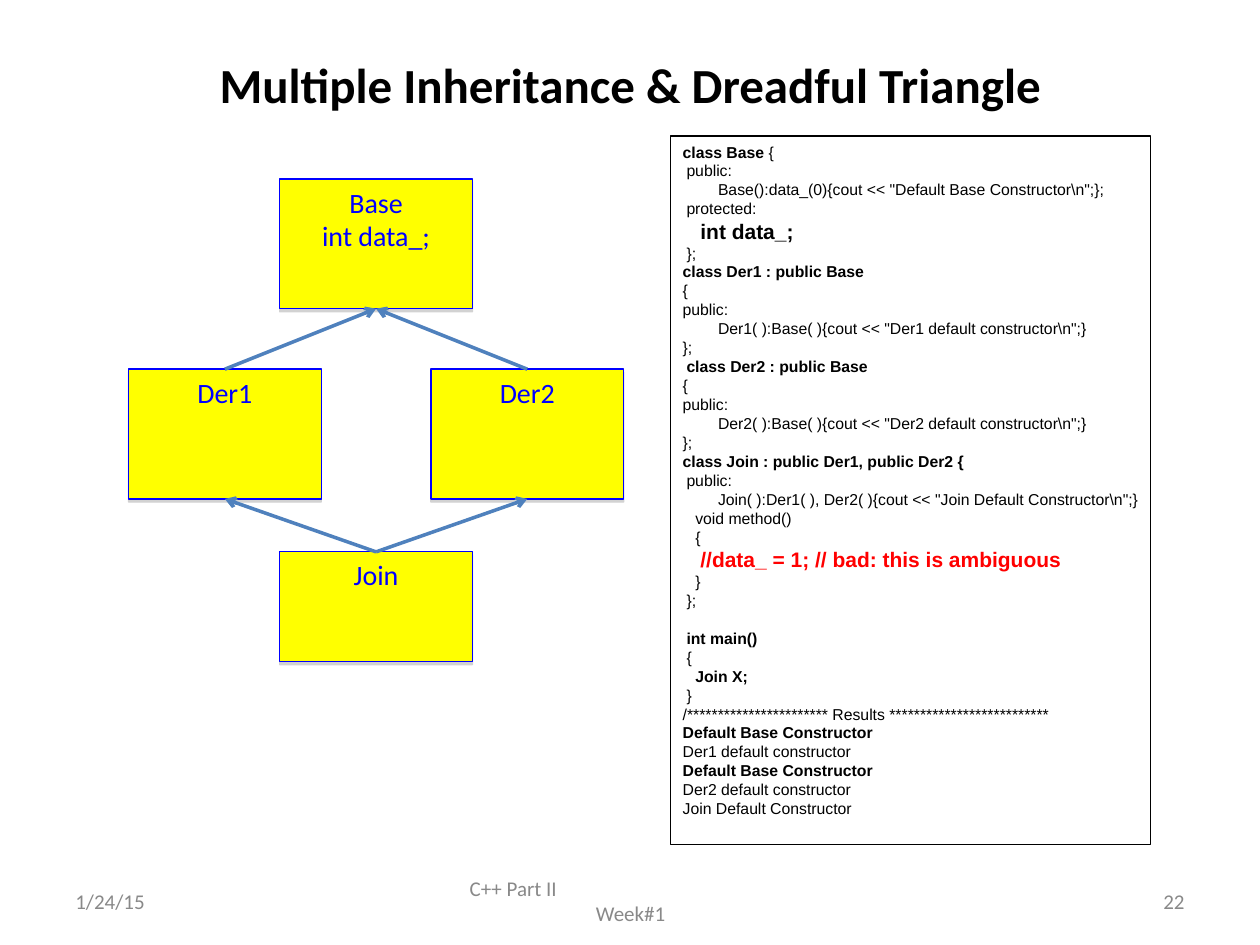
from lxml import etree
from pptx import Presentation
from pptx import util as u
from pptx.dml.color import RGBColor
from pptx.enum import shapes, text
from pptx.oxml.ns import qn

BLACK, GREY, BLUE, YELLOW = "000000", "898989", "0000FF", "FFFF00"
RED, STEEL, SHADOW = "FF0000", "4F81BD", "808080"
LEFT, CENTER, RIGHT = text.PP_ALIGN.LEFT, text.PP_ALIGN.CENTER, text.PP_ALIGN.RIGHT

PLAIN = dict(size=u.Pt(9), name="Arial", bold=False)
BOLD = {**PLAIN, "bold": True}
LARGE = {**BOLD, "size": u.Pt(12)}
FOOTER = dict(size=u.Pt(12), name="Calibri")
CLASS_NAME = dict(size=u.Pt(16), name="Calibri")

# Code lines: indent in inches, text, format
CODE = [
    (0, "class Base {", BOLD),
    (0.03, "public:", PLAIN),
    (0.28, 'Base():data_(0){cout << "Default Base Constructor\\n";};', PLAIN),
    (0.03, "protected:", PLAIN),
    (0.14, "int data_;", LARGE),
    (0.03, "};", PLAIN),
    (0, "class Der1 : public Base", BOLD),
    (0, "{", PLAIN),
    (0, "public:", PLAIN),
    (0.28, 'Der1( ):Base( ){cout << "Der1 default constructor\\n";}', PLAIN),
    (0, "};", PLAIN),
    (0.03, "class Der2 : public Base", BOLD),
    (0, "{", PLAIN),
    (0, "public:", PLAIN),
    (0.28, 'Der2( ):Base( ){cout << "Der2 default constructor\\n";}', PLAIN),
    (0, "};", PLAIN),
    (0, "class Join : public Der1, public Der2 {", BOLD),
    (0.03, "public:", PLAIN),
    (0.28, 'Join( ):Der1( ), Der2( ){cout << "Join Default Constructor\\n";}', PLAIN),
    (0.1, "void method()", PLAIN),
    (0.1, "{", PLAIN),
    (0.14, "//data_ = 1; // bad: this is ambiguous", LARGE),
    (0.1, "}", PLAIN),
    (0.03, "};", PLAIN),
    (0.03, "int main()", BOLD),
    (0.03, "{", PLAIN),
    (0.1, "Join X;", BOLD),
    (0.03, "}", PLAIN),
    (0, "/*********************** Results **************************", PLAIN),
    (0, "Default Base Constructor", BOLD),
    (0, "Der1 default constructor", PLAIN),
    (0, "Default Base Constructor", BOLD),
    (0, "Der2 default constructor", PLAIN),
    (0, "Join Default Constructor", PLAIN),
]


def color(value):
    return RGBColor.from_string(value)


def inches(box):
    return [u.Inches(value) for value in box]


def add_run(paragraph, words, style, ink):
    run = paragraph.add_run()
    run.text = words
    for name, value in style.items():
        setattr(run.font, name, value)
    run.font.color.rgb = color(ink)


def next_paragraph(frame, index, align=LEFT, indent=0):
    paragraph = frame.add_paragraph() if index else frame.paragraphs[0]
    paragraph.alignment = align
    if indent:
        properties = paragraph._p.get_or_add_pPr()
        properties.set("marL", str(u.Inches(indent)))
        properties.set("indent", "0")
    return paragraph


def add_title(slide, box, words):
    title = slide.shapes.title
    title.left, title.top, title.width, title.height = inches(box)
    title.text_frame.vertical_anchor = text.MSO_ANCHOR.MIDDLE
    paragraph = next_paragraph(title.text_frame, 0, CENTER)
    add_run(paragraph, words, dict(size=u.Pt(28), name="Calibri", bold=True), BLACK)


def add_footer(slide, box, lines):
    frame = slide.shapes.add_textbox(*inches(box)).text_frame
    frame.word_wrap = True
    frame.vertical_anchor = text.MSO_ANCHOR.MIDDLE
    for index, (words, align, indent) in enumerate(lines):
        add_run(next_paragraph(frame, index, align, indent), words, FOOTER, GREY)


def add_drop_shadow(shape):
    effects = shape._element.spPr.find(qn("a:effectLst"))
    shadow = etree.SubElement(effects, qn("a:outerShdw"), blurRad="0",
                              dist=str(u.Pt(1.8)), dir="5400000", rotWithShape="0")
    ink = etree.SubElement(shadow, qn("a:srgbClr"), val=SHADOW)
    etree.SubElement(ink, qn("a:alpha"), val="35000")


def add_box(slide, kind, box, line):
    shape = slide.shapes.add_shape(kind, *inches(box))
    shape.shadow.inherit = False
    shape.line.color.rgb = color(line)
    shape.line.width = u.Pt(0.75)
    shape.text_frame.vertical_anchor = text.MSO_ANCHOR.TOP
    return shape


def add_class(slide, box, lines):
    shape = add_box(slide, shapes.MSO_SHAPE.FLOWCHART_PROCESS, box, BLUE)
    shape.fill.solid()
    shape.fill.fore_color.rgb = color(YELLOW)
    add_drop_shadow(shape)
    for index, words in enumerate(lines):
        paragraph = next_paragraph(shape.text_frame, index, CENTER)
        add_run(paragraph, words, CLASS_NAME, BLUE)
    return shape


def add_inheritance(slide, child, parent):
    top, bottom = 0, 2  # connection sites
    arrow = slide.shapes.add_connector(shapes.MSO_CONNECTOR.STRAIGHT, 0, 0, 0, 0)
    arrow.begin_connect(child, top)
    arrow.end_connect(parent, bottom)
    arrow.line.color.rgb = color(STEEL)
    arrow.line.width = u.Pt(2)
    etree.SubElement(arrow.line._get_or_add_ln(), qn("a:tailEnd"), type="arrow")
    etree.SubElement(arrow._element.spPr, qn("a:effectLst"))


def add_diagram(slide, box):
    left, top, width, height = box
    class_width, class_height, join_height = 1.53, 1.03, 0.87
    middle = left + (width - class_width) / 2
    right = left + width - class_width
    der_top = top + 1.51
    join_top = top + height - join_height

    base = add_class(slide, (middle, top, class_width, class_height), ["Base", "int data_;"])
    join = add_class(slide, (middle, join_top, class_width, join_height), ["Join"])
    for name, x in (("Der1", left), ("Der2", right)):
        derived = add_class(slide, (x, der_top, class_width, class_height), [name])
        add_inheritance(slide, derived, base)
        add_inheritance(slide, join, derived)


def add_code(slide, box):
    panel = add_box(slide, shapes.MSO_SHAPE.RECTANGLE, box, BLACK)
    panel.fill.background()
    frame = panel.text_frame
    frame.word_wrap = False
    for index, (indent, words, style) in enumerate(CODE):
        paragraph = next_paragraph(frame, index, LEFT, indent)
        if words == "int main()":
            paragraph.space_before = u.Pt(10.8)
        if words == "class Base {":
            add_run(paragraph, "class Base ", BOLD, BLACK)
            add_run(paragraph, "{", PLAIN, BLACK)
        else:
            add_run(paragraph, words, style, RED if words.startswith("//") else BLACK)


def main():
    presentation = Presentation()
    presentation.slide_width, presentation.slide_height = u.Inches(10), u.Inches(7.5)
    slide = presentation.slides.add_slide(presentation.slide_layouts[5])

    add_title(slide, (0.75, 0.25, 8.5, 0.83), "Multiple Inheritance & Dreadful Triangle")
    add_diagram(slide, (1.02, 1.42, 3.93, 3.83))
    add_code(slide, (5.32, 1.08, 3.81, 5.62))

    # Date, course and slide number
    add_footer(slide, (0.5, 6.95, 2.33, 0.4), [("1/24/15", LEFT, 0)])
    add_footer(slide, (3.42, 6.95, 3.17, 0.4),
               [("C++ Part II", LEFT, 0.21), ("Week#1", CENTER, 0)])
    add_footer(slide, (7.17, 6.95, 2.33, 0.4), [("22", RIGHT, 0)])

    presentation.save("out.pptx")


if __name__ == "__main__":
    main()
